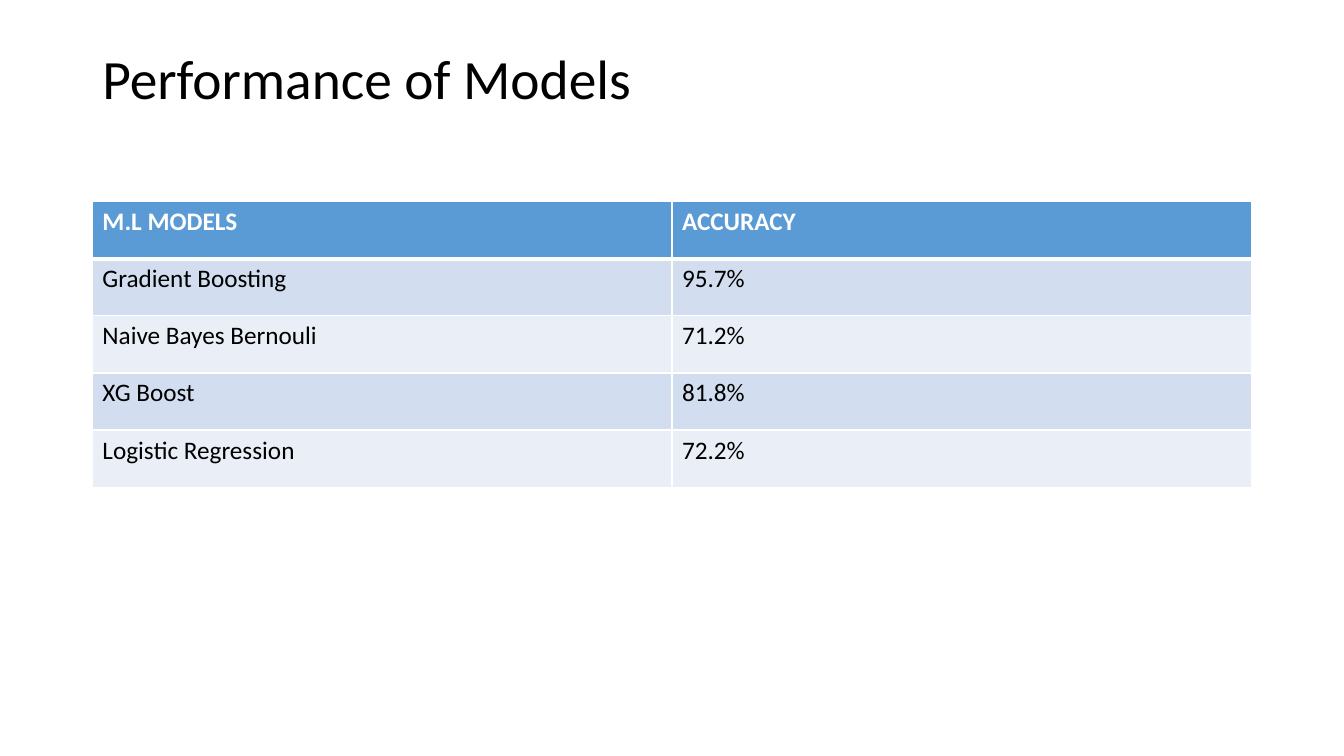
from dataclasses import dataclass

import pptx
import pptx.dml.color
import pptx.enum.text
import pptx.oxml
import pptx.oxml.ns
import pptx.util


# Theme: colours, type and line widths
@dataclass(frozen=True)
class Theme:
    font: str = "Calibri"
    title_size: float = 39.6
    table_size: float = 18
    ink: str = "000000"
    white: str = "FFFFFF"
    header: str = "5B9BD5"
    bands: tuple[str, str] = ("D2DEEF", "EAEFF7")
    thin_rule: float = 1
    thick_rule: float = 3


@dataclass(frozen=True)
class ModelScore:
    model: str
    accuracy: str


# Areas are measured in columns and rows of the page grid
@dataclass(frozen=True)
class Area:
    column: float
    row: float
    columns: float
    rows: float


THEME = Theme()
PAGE_WIDTH = pptx.util.Inches(13.33)
PAGE_HEIGHT = pptx.util.Inches(7.5)
GRID_COLUMNS, GRID_ROWS = 160, 90

TITLE_AREA = Area(11, 4.8, 138, 17.4)
TABLE_AREA = Area(11, 24, 138, 34)
TITLE_INSET = 1.4

HEADINGS = ModelScore("M.L MODELS", "ACCURACY")
SCORES = [
    ModelScore("Gradient Boosting", "95.7%"),
    ModelScore("Naive Bayes Bernouli", "71.2%"),
    ModelScore("XG Boost", "81.8%"),
    ModelScore("Logistic Regression", "72.2%"),
]


def across(columns: float) -> int:
    return round(PAGE_WIDTH * columns / GRID_COLUMNS)


def down(rows: float) -> int:
    return round(PAGE_HEIGHT * rows / GRID_ROWS)


def frame(area: Area) -> tuple[int, int, int, int]:
    return across(area.column), down(area.row), across(area.columns), down(area.rows)


def colour(value: str) -> pptx.dml.color.RGBColor:
    return pptx.dml.color.RGBColor.from_string(value)


def add_span(para, text: str, size: float, ink: str, bold: bool = False) -> None:
    span = para.add_run()
    span.text = text
    span.font.name = THEME.font
    span.font.size = pptx.util.Pt(size)
    span.font.bold = bold
    span.font.color.rgb = colour(ink)


def add_title(page, text: str) -> None:
    box = page.shapes.add_textbox(*frame(TITLE_AREA))
    box.text_frame.word_wrap = True
    box.text_frame.vertical_anchor = pptx.enum.text.MSO_ANCHOR.TOP
    box.text_frame.margin_top = down(TITLE_INSET)
    para = box.text_frame.paragraphs[0]
    para.line_spacing = 0.9
    add_span(para, text, THEME.title_size, THEME.ink)


def add_borders(cell, top: float, bottom: float) -> None:
    widths = {"lnL": THEME.thin_rule, "lnR": THEME.thin_rule, "lnT": top, "lnB": bottom}
    properties = cell._tc.get_or_add_tcPr()
    for place, (side, width) in enumerate(widths.items()):
        properties.insert(place, pptx.oxml.parse_xml(
            f'<a:{side} {pptx.oxml.ns.nsdecls("a")} w="{pptx.util.Pt(width)}">'
            f'<a:solidFill><a:srgbClr val="{THEME.white}"/></a:solidFill></a:{side}>'
        ))


def add_score_table(page, scores: list[ModelScore]) -> None:
    lines = [HEADINGS, *scores]
    table = page.shapes.add_table(len(lines), 2, *frame(TABLE_AREA)).table
    for row, line in enumerate(lines):
        is_header = row == 0
        fill = THEME.header if is_header else THEME.bands[(row - 1) % 2]
        ink = THEME.white if is_header else THEME.ink
        # The thick rule runs between the header and the first score
        top = THEME.thick_rule if row == 1 else THEME.thin_rule
        bottom = THEME.thick_rule if is_header else THEME.thin_rule
        for column, text in enumerate((line.model, line.accuracy)):
            cell = table.cell(row, column)
            cell.fill.solid()
            cell.fill.fore_color.rgb = colour(fill)
            add_borders(cell, top, bottom)
            add_span(cell.text_frame.paragraphs[0], text, THEME.table_size, ink, is_header)


def main() -> None:
    deck = pptx.Presentation()
    deck.slide_width, deck.slide_height = PAGE_WIDTH, PAGE_HEIGHT
    page = deck.slides.add_slide(deck.slide_layouts[6])
    add_title(page, "Performance of Models")
    add_score_table(page, SCORES)
    deck.save("out.pptx")


if __name__ == "__main__":
    main()
